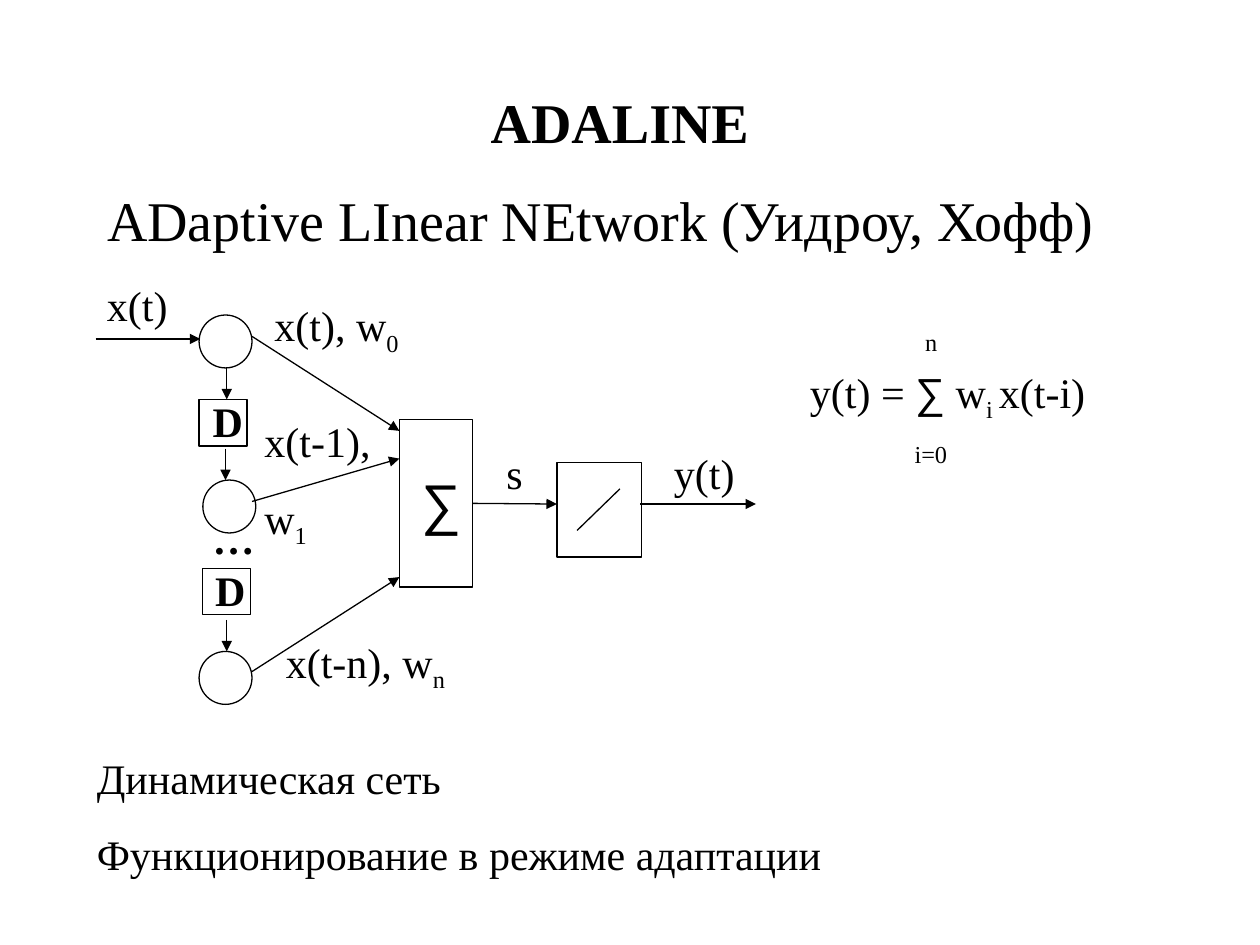
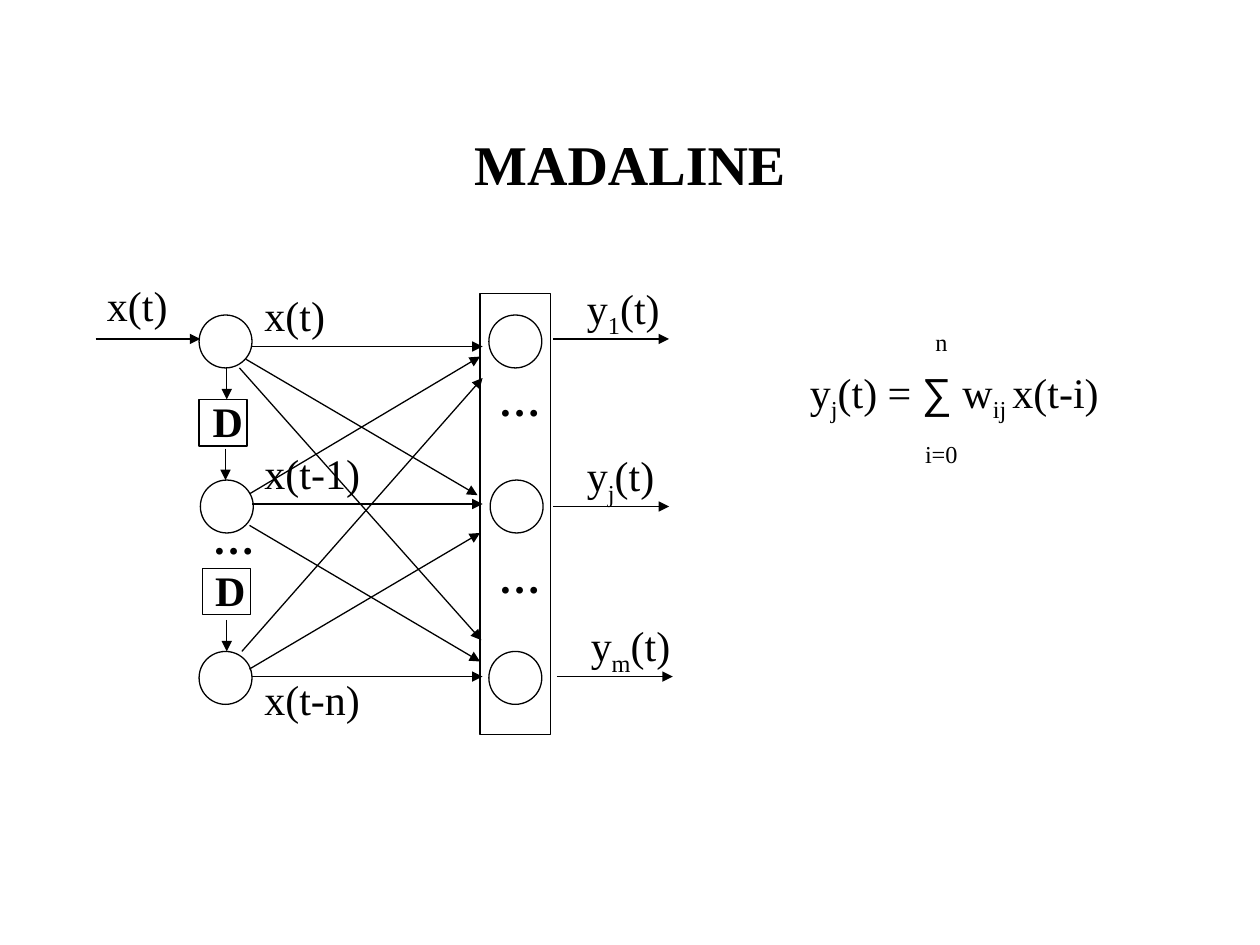
"""Build two slides on the ADALINE and MADALINE networks."""
from lxml.etree import SubElement
from pptx import Presentation
from pptx.dml.color import RGBColor
from pptx.enum.shapes import MSO_CONNECTOR as Connector, MSO_SHAPE as Shape
from pptx.enum.text import MSO_ANCHOR as Anchor, MSO_AUTO_SIZE as AutoSize, PP_ALIGN as Align
from pptx.oxml.ns import qn
from pptx.util import Inches, Pt

BLACK = RGBColor(0, 0, 0)
WHITE = RGBColor(255, 255, 255)
SUBSCRIPT, SUPERSCRIPT = -25000, 30000
SPACE_WIDTH = 0.083
NODE_SIZE = 0.42
NODE_TOPS = (2.5, 3.81, 5.17)
TITLE_ONLY, TITLE_AND_BODY = 5, 1


class Diagram:
    """Hold the shared style and the slide being drawn."""

    text_format = {"name": "Times New Roman", "size": Pt(24), "bold": False}
    heading_format = {"size": Pt(32)}
    title_format = {"size": Pt(32), "bold": True}
    symbol_format = {"name": "Arial"}
    line_width = Pt(0.75)

    def __init__(self, presentation):
        self.presentation = presentation
        self.slide = None

    def new_slide(self, layout, title, *box):
        """Add a slide with a centred bold title."""
        layouts = self.presentation.slide_layouts
        self.slide = self.presentation.slides.add_slide(layouts[layout])
        background = self.slide.background.fill
        background.solid()
        background.fore_color.rgb = WHITE
        shape = self.slide.shapes.title
        self.place(shape, *box)
        shape.text_frame.vertical_anchor = Anchor.MIDDLE
        paragraph = shape.text_frame.paragraphs[0]
        paragraph.alignment = Align.CENTER
        self.add_runs(paragraph, [title], self.title_format)

    def place(self, shape, *box):
        """Move and size a placeholder."""
        for name, value in zip(("left", "top", "width", "height"), box):
            setattr(shape, name, Inches(value))

    def add_runs(self, paragraph, parts, changes=None):
        """Add strings and (string, baseline) pairs as runs."""
        for part in parts:
            text, baseline = (part, 0) if isinstance(part, str) else part
            run = paragraph.add_run()
            run.text = text
            values = {**self.text_format, **(changes or {})}
            if text == "∑":
                values.update(self.symbol_format)
            for name, value in values.items():
                setattr(run.font, name, value)
            run.font.color.rgb = BLACK
            if baseline:
                run._r.get_or_add_rPr().set("baseline", str(baseline))

    def body(self, text, *box):
        """Fill the body placeholder with one unbulleted line."""
        shape = self.slide.placeholders[1]
        self.place(shape, *box)
        paragraph = shape.text_frame.paragraphs[0]
        paragraph.space_before = Pt(0)
        properties = paragraph._p.get_or_add_pPr()
        properties.set("marL", str(Inches(0.38)))
        properties.set("indent", str(Inches(-0.38)))
        SubElement(properties, qn("a:buNone"))
        self.add_runs(paragraph, [text], self.heading_format)

    def label(self, lines, *box, changes=None, wrap=True, gap=15, indents=()):
        """Add a text box with one paragraph for each line."""
        shape = self.slide.shapes.add_textbox(*map(Inches, box))
        frame = shape.text_frame
        frame.word_wrap = wrap
        frame.auto_size = AutoSize.SHAPE_TO_FIT_TEXT
        for index, parts in enumerate(lines):
            paragraph = frame.add_paragraph() if index else frame.paragraphs[0]
            if index:
                paragraph.space_before = Pt(gap)
            if indents:
                margin = str(Inches(indents[index]))
                paragraph._p.get_or_add_pPr().set("marL", margin)
            self.add_runs(paragraph, parts, changes)

    def mark(self, text, left, top, width):
        """Add a short bold mark that does not wrap."""
        self.label([[text]], left, top, width, 0.5, changes={"bold": True}, wrap=False)

    def outline(self, kind, *box):
        """Add an unfilled outlined shape."""
        shape = self.slide.shapes.add_shape(kind, *map(Inches, box))
        shape.shadow.inherit = False
        shape.fill.background()
        shape.line.color.rgb = BLACK
        shape.line.width = self.line_width
        return shape

    def node(self, left, top):
        """Add a round neuron."""
        self.outline(Shape.OVAL, left, top, NODE_SIZE, NODE_SIZE)

    def line(self, *ends, arrow=True):
        """Add a straight line, with an arrowhead unless told otherwise."""
        connector = self.slide.shapes.add_connector(Connector.STRAIGHT, *map(Inches, ends))
        connector.line.color.rgb = BLACK
        connector.line.width = self.line_width
        properties = connector.element.spPr
        if arrow:
            SubElement(properties.find(qn("a:ln")), qn("a:tailEnd"), type="triangle")
        SubElement(properties, qn("a:effectLst"))
        return connector

    def delay_line(self, middle_left):
        """Draw the input and its chain of delay blocks."""
        self.label([["x(t)"]], 0.75, 2.17, 0.75, 0.5)
        self.line(0.76, 2.69, 1.59, 2.69)
        for left, top in zip((1.58, middle_left, 1.58), NODE_TOPS):
            self.node(left, top)
        for left, top, text_left in ((1.58, 3.17, 1.59), (1.61, 4.51, 1.61)):
            self.outline(Shape.RECTANGLE, left, top, 0.38, 0.37)
            self.mark("D", text_left, top - 0.08, 0.44)
        for x, top in ((1.8, 2.92), (1.79, 3.56), (1.8, 4.92)):
            self.line(x, top, x, top + 0.25)
        self.mark("…", 1.59, 4.02, 0.53)

    def formula(self, output, weight_index, spaces):
        """Add the weighted sum with its limits above and below."""
        lines = [
            [" ", ("n", SUBSCRIPT)],
            [*output, " = ", "∑", " w", (weight_index + " ", SUBSCRIPT), "x(t-i)"],
            [" ", ("i=0", SUPERSCRIPT)],
        ]
        indents = (spaces * SPACE_WIDTH, 0, (spaces - 1) * SPACE_WIDTH)
        self.label(lines, 6.33, 2.32, 2.67, 1.58, gap=6, indents=indents)


def draw_adaline(diagram):
    """Draw the single adaptive linear neuron."""
    diagram.new_slide(TITLE_AND_BODY, "ADALINE", 0.67, 0.5, 8.5, 0.92)
    diagram.body("ADaptive LInear NEtwork (Уидроу, Хофф)", 0.75, 1.42, 8.5, 0.83)
    diagram.label([["Динамическая сеть"], ["Функционирование в режиме адаптации"]],
                  0.67, 5.92, 6.92, 1.11)

    adder = diagram.outline(Shape.RECTANGLE, 3.17, 3.33, 0.58, 1.33)
    diagram.label([["∑"]], 3.25, 3.67, 0.58, 0.64, changes=diagram.heading_format)
    diagram.outline(Shape.RECTANGLE, 4.42, 3.67, 0.67, 0.75)
    diagram.line(4.92, 3.88, 4.58, 4.21, arrow=False)
    diagram.line(3.75, 4, 4.42, 4).begin_connect(adder, 3)
    diagram.line(5.08, 4, 6, 4)
    diagram.label([["s"]], 3.92, 3.5, 0.42, 0.5)
    diagram.label([["y(t)"]], 5.25, 3.5, 0.75, 0.5)

    diagram.delay_line(middle_left=1.61)
    for start, end in ((2.67, 3.42), (3.98, 3.64), (5.33, 4.58)):
        diagram.line(2, start, 3.17, end)
    diagram.label([["x(t), w", ("0", SUBSCRIPT)]], 2.08, 2.33, 1.25, 0.56)
    diagram.label([["x(t-1),"], ["w", ("1", SUBSCRIPT)]], 2, 3.25, 1.42, 1.17)
    diagram.label([["x(t-n), w", ("n", SUBSCRIPT)]], 2.17, 5, 1.5, 0.56)
    diagram.formula(["y(t)"], "i", spaces=10)


def draw_madaline(diagram):
    """Draw the layer of adaptive linear neurons."""
    diagram.new_slide(TITLE_ONLY, "MADALINE", 0.75, 0.67, 8.5, 1.25)
    diagram.delay_line(middle_left=1.59)
    for text, top, width in (("x(t)", 2.25, 0.75), ("x(t-1)", 3.5, 1.08), ("x(t-n)", 5.3, 1)):
        diagram.label([[text]], 2, top, width, 0.5)
    diagram.formula(["y", ("j", SUBSCRIPT), "(t)"], "ij", spaces=11)

    for left, top in zip((3.88, 3.89, 3.88), NODE_TOPS):
        diagram.node(left, top)
    for top in (2.92, 4.33):
        diagram.mark("…", 3.86, top, 0.53)
    diagram.outline(Shape.RECTANGLE, 3.81, 2.33, 0.56, 3.5)

    outputs = (("1", 4.39, 2.69, 0.86), ("j", 4.39, 4.02, 0.75), ("m", 4.42, 5.37, 0.92))
    for index, left, y, width in outputs:
        diagram.line(left, y, left + 0.92, y)
        diagram.label([["y", (index, SUBSCRIPT), "(t)"]], left + 0.17, y - 0.5, width, 0.56)

    for y in (2.75, 4, 5.37):
        diagram.line(2, y, 3.83, y)
    for ends in ((1.98, 5.31, 3.81, 4.23), (1.98, 3.92, 3.81, 2.83),
                 (1.98, 4.17, 3.81, 5.25), (1.95, 2.85, 3.79, 3.93),
                 (1.92, 5.17, 3.83, 3), (1.9, 2.92, 3.82, 5.08)):
        diagram.line(*ends)


def main():
    """Build and save the presentation."""
    presentation = Presentation()
    presentation.slide_width = Inches(10)
    presentation.slide_height = Inches(7.5)
    diagram = Diagram(presentation)
    draw_adaline(diagram)
    draw_madaline(diagram)
    presentation.save("out.pptx")


if __name__ == "__main__":
    main()
